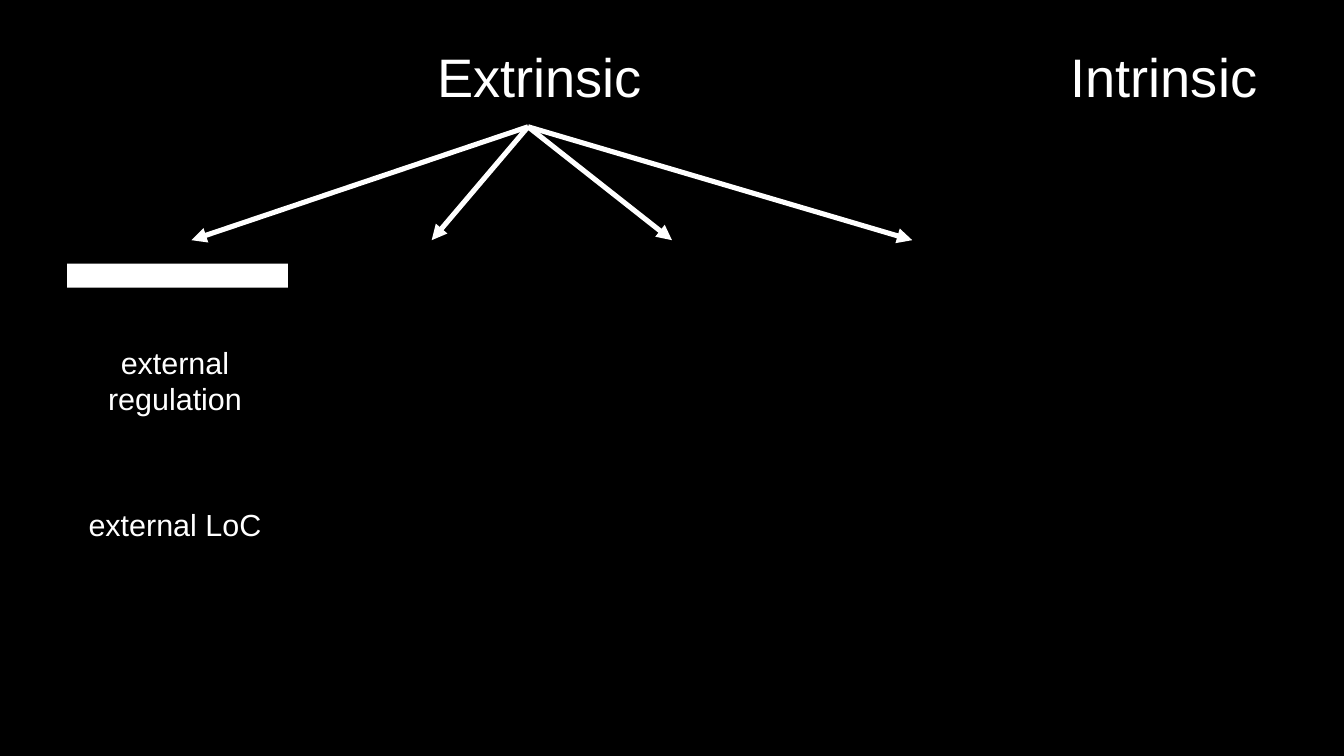
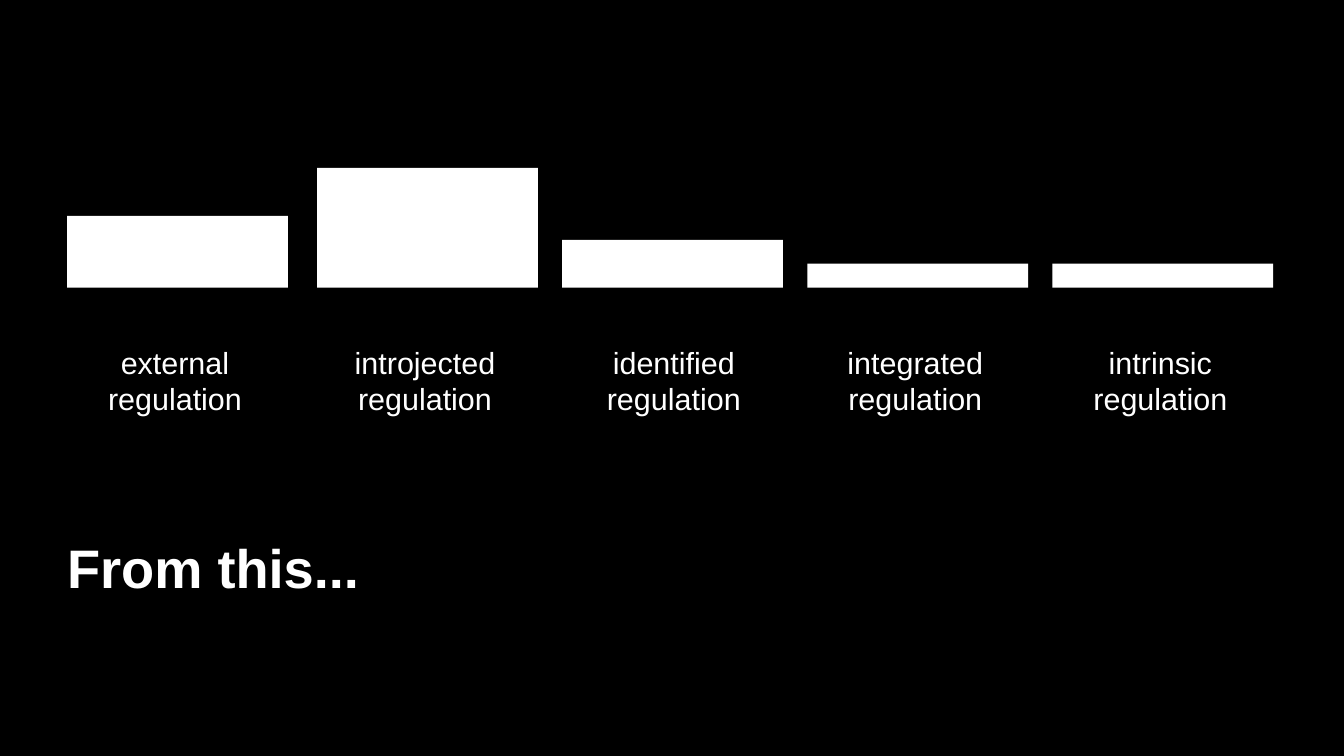
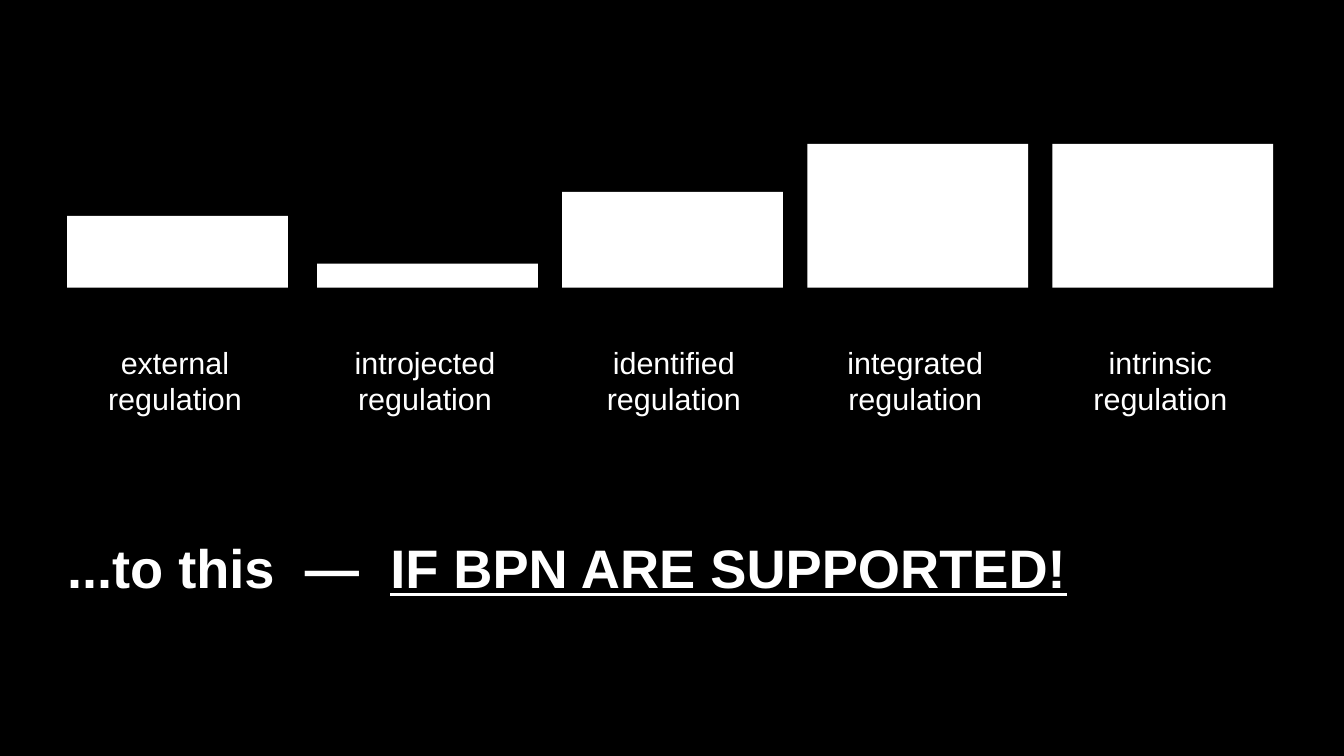
import pptx
import pptx.dml.color
import pptx.enum.shapes
import pptx.enum.text
import pptx.util
from lxml import etree
from pptx.oxml.ns import qn

Inches = pptx.util.Inches
Pt = pptx.util.Pt
ALIGN = pptx.enum.text.PP_ALIGN

COLORS = {"background": "000000", "ink": "FFFFFF"}
FONT = "Arial"

# Column grid: kind of regulation, left of its bar, left of its label
COLUMNS = [
    ("external", 0.55, 0.55),
    ("introjected", 2.6, 2.6),
    ("identified", 4.61, 4.64),
    ("integrated", 6.62, 6.62),
    ("intrinsic", 8.63, 8.63),
]
BAR_WIDTH, BAR_BASE = 1.81, 2.36
BAR_STEP = 1.18 / 6
LABEL_SIZE = (1.77, 0.84)
LABEL_TOP = 2.7


def color(name):
    return pptx.dml.color.RGBColor.from_string(COLORS[name])


class Deck:
    """Holds the shared style and the current slide."""

    def __init__(self):
        self.prs = pptx.Presentation()
        self.prs.slide_width = Inches(11.02)
        self.prs.slide_height = Inches(6.2)
        fill = self.prs.slide_master.background.fill
        fill.solid()
        fill.fore_color.rgb = color("background")

    def new_slide(self):
        layout = self.prs.slide_layouts.get_by_name("Title Only")
        self.slide = self.prs.slides.add_slide(layout)

    def set_text(self, sp, runs, size, bold=False, align=ALIGN.CENTER, tabs=()):
        """Fill a text shape with one paragraph of (text, underlined) runs."""
        tf = sp.text_frame
        tf.word_wrap = True
        tf.auto_size = pptx.enum.text.MSO_AUTO_SIZE.NONE
        tf.vertical_anchor = pptx.enum.text.MSO_ANCHOR.MIDDLE
        tf.margin_left = tf.margin_right = tf.margin_top = tf.margin_bottom = 0
        p = tf.paragraphs[0]
        p.alignment = align
        p.space_before = Pt(0)
        if tabs:
            tab_list = etree.SubElement(p._p.get_or_add_pPr(), qn("a:tabLst"))
            for pos in tabs:
                etree.SubElement(tab_list, qn("a:tab"), pos=str(Inches(pos)), algn="l")
        p.font.name = FONT
        p.font.size = Pt(size)
        p.font.bold = bold
        p.font.color.rgb = color("ink")
        for text, underlined in runs:
            r = p.add_run()
            r.text = text
            if underlined:
                r.font.underline = True

    def title(self, runs, left, top, width, height, **style):
        sp = self.slide.shapes.title
        sp.left, sp.top = Inches(left), Inches(top)
        sp.width, sp.height = Inches(width), Inches(height)
        self.set_text(sp, runs, 32, **style)

    def label(self, text, left, top, size=18):
        sp = self.slide.shapes.add_textbox(
            Inches(left), Inches(top), *map(Inches, LABEL_SIZE))
        self.set_text(sp, [(text, False)], size)

    def bar(self, left, level):
        height = level * BAR_STEP
        sp = self.slide.shapes.add_shape(
            pptx.enum.shapes.MSO_SHAPE.RECTANGLE,
            Inches(left), Inches(BAR_BASE - height), Inches(BAR_WIDTH), Inches(height))
        sp.shadow.inherit = False
        sp.fill.solid()
        sp.fill.fore_color.rgb = color("ink")
        sp.line.fill.background()

    def arrow(self, start, end):
        sp = self.slide.shapes.add_connector(
            pptx.enum.shapes.MSO_CONNECTOR.STRAIGHT, *map(Inches, start + end))
        sp.line.color.rgb = color("ink")
        sp.line.width = Pt(3)
        sp_pr = sp._element.spPr
        etree.SubElement(sp_pr.find(qn("a:ln")), qn("a:tailEnd"), type="triangle")
        etree.SubElement(sp_pr, qn("a:effectLst"))

    def columns(self, levels):
        """Draw a bar and a label for each level, from the left."""
        for (kind, bar_left, label_left), level in zip(COLUMNS, levels):
            self.bar(bar_left, level)
            self.label(f"{kind} regulation", label_left, LABEL_TOP)

    def statement(self, *runs, tabs=()):
        self.title(runs, 0.55, 4.13, 9.92, 1.04,
                   bold=True, align=ALIGN.LEFT, tabs=tabs)


def main():
    deck = Deck()

    # Extrinsic motivation branches into four kinds
    deck.new_slide()
    deck.title([("Extrinsic", False)], 3.54, 0.2, *LABEL_SIZE)
    deck.label("Intrinsic", 8.66, 0.2, size=32)
    for i in range(4):
        deck.arrow((4.33, 1.04), (1.57 + 1.97 * i, 1.97))
    deck.columns([1])
    deck.label("external LoC", 0.55, 3.88)

    # Starting profile
    deck.new_slide()
    deck.columns([3, 5, 2, 1, 1])
    deck.statement(("From this...", False))

    # Profile with support
    deck.new_slide()
    deck.columns([3, 1, 4, 6, 6])
    deck.statement(("...to this\t—\t", False), ("IF BPN ARE SUPPORTED!", True),
                   tabs=(1.95, 2.65))

    deck.prs.save("out.pptx")


if __name__ == "__main__":
    main()
